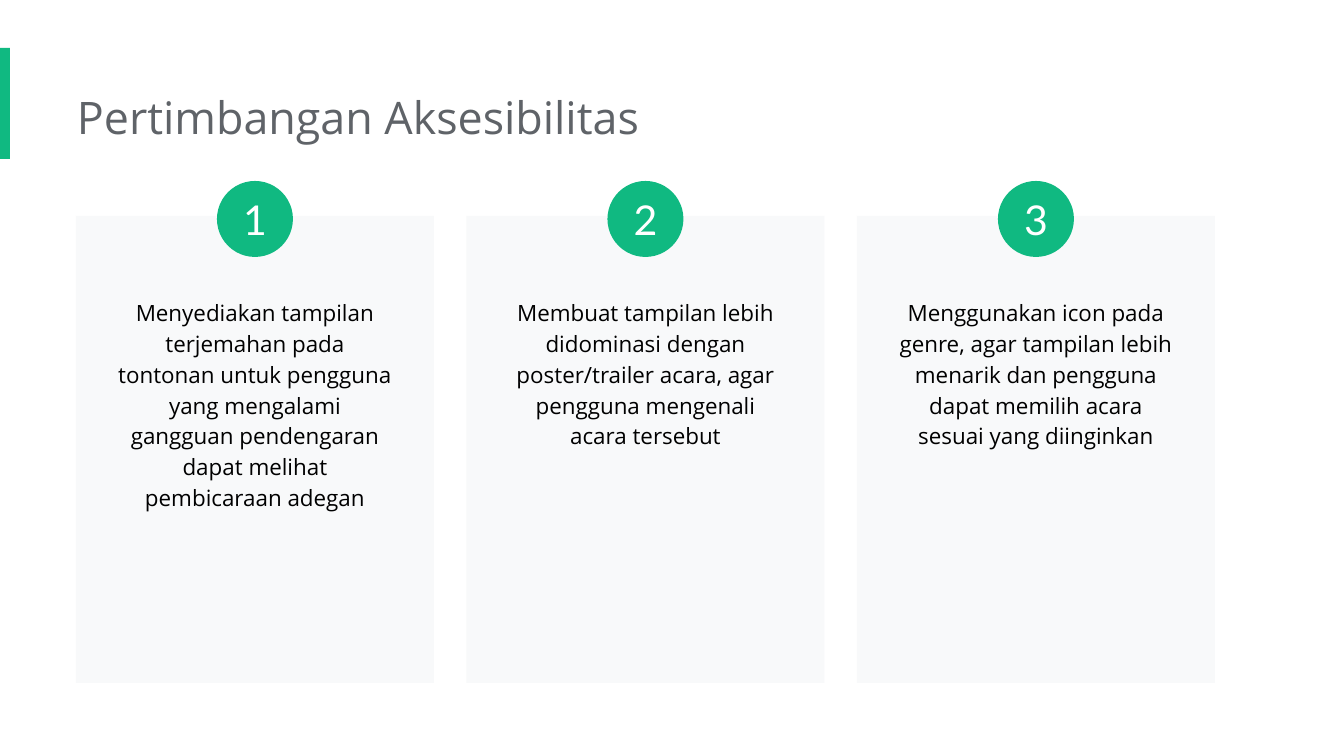
from pptx import Presentation
from pptx import util as u
from pptx.dml.color import RGBColor
from pptx.enum import shapes, text

SCALE = 914400 / 134.4  # EMU in one px
COLORS = {
    "green": "10B981",
    "card": "F8F9FA",
    "title": "5F6368",
    "body": "000000",
    "white": "FFFFFF",
}


def px(length):
    return u.Emu(round(length * SCALE))


class SlideBuilder:
    """Holds the style and the current page."""

    heading_font = "Open Sans"
    number_font = "Lato"
    inset = 13

    def __init__(self, page):
        self.page = page

    def shape(self, kind, left, top, width, height, color):
        shape = self.page.shapes.add_shape(
            kind, px(left), px(top), px(width), px(height))
        shape.shadow.inherit = False
        shape.fill.solid()
        shape.fill.fore_color.rgb = RGBColor.from_string(COLORS[color])
        shape.line.fill.background()
        return shape

    def rectangle(self, left, top, width, height, color):
        return self.shape(shapes.MSO_SHAPE.RECTANGLE, left, top, width, height, color)

    def add_span(self, para, words, font, size, color):
        span = para.add_run()
        span.text = words
        span.font.name = font
        span.font.size = u.Pt(size)
        span.font.color.rgb = RGBColor.from_string(COLORS[color])

    def margins(self, frame, left, other):
        frame.margin_left = px(left)
        frame.margin_top = frame.margin_right = frame.margin_bottom = px(other)

    def textbox(self, left, top, width, height, words, size, color,
                margin_left=inset, align=text.PP_ALIGN.LEFT, spacing=None):
        box = self.page.shapes.add_textbox(px(left), px(top), px(width), px(height))
        frame = box.text_frame
        frame.word_wrap = True
        frame.auto_size = text.MSO_AUTO_SIZE.SHAPE_TO_FIT_TEXT
        self.margins(frame, margin_left, self.inset)
        para = frame.paragraphs[0]
        para.alignment = align
        para.line_spacing = spacing
        self.add_span(para, words, self.heading_font, size, color)

    def badge(self, left, top, size, number):
        circle = self.shape(shapes.MSO_SHAPE.OVAL, left, top, size, size, "green")
        frame = circle.text_frame
        frame.vertical_anchor = text.MSO_ANCHOR.MIDDLE
        self.margins(frame, 0, 0)
        para = frame.paragraphs[0]
        para.alignment = text.PP_ALIGN.CENTER
        self.add_span(para, str(number), self.number_font, 22, "white")


CARD_LEFT, CARD_TOP, CARD_WIDTH, CARD_HEIGHT = 76, 216, 358, 467
CARD_PITCH = 390.5
BADGE_SIZE = 76
TEXT_WIDTH = 301

# Wording and text height of each card
CARDS = [
    ("Menyediakan tampilan terjemahan pada tontonan untuk pengguna yang "
     "mengalami gangguan pendengaran dapat melihat pembicaraan adegan", 242),
    ("Membuat tampilan lebih didominasi dengan poster/trailer acara, agar "
     "pengguna mengenali acara tersebut", 179),
    ("Menggunakan icon pada genre, agar tampilan lebih menarik dan pengguna "
     "dapat memilih acara sesuai yang diinginkan", 179),
]


def main():
    deck = Presentation()
    deck.slide_width, deck.slide_height = px(1344), px(756)
    builder = SlideBuilder(deck.slides.add_slide(deck.slide_layouts[6]))

    # Accent bar and title
    builder.rectangle(0, 48, 10, 111, "green")
    builder.textbox(77, 77, 1029, 82, "Pertimbangan Aksesibilitas", 24, "title",
                    margin_left=0)

    # Cards with their text
    lefts = [CARD_LEFT + CARD_PITCH * i for i in range(len(CARDS))]
    for left, (words, height) in zip(lefts, CARDS):
        builder.rectangle(left, CARD_TOP, CARD_WIDTH, CARD_HEIGHT, "card")
        builder.textbox(left + (CARD_WIDTH - TEXT_WIDTH) / 2, 282, TEXT_WIDTH, height,
                        words, 12, "body", align=text.PP_ALIGN.CENTER, spacing=1.15)

    # Number badges on the top edges
    for number, left in enumerate(lefts, 1):
        builder.badge(left + (CARD_WIDTH - BADGE_SIZE) / 2, 181, BADGE_SIZE, number)

    deck.save("out.pptx")


if __name__ == "__main__":
    main()
